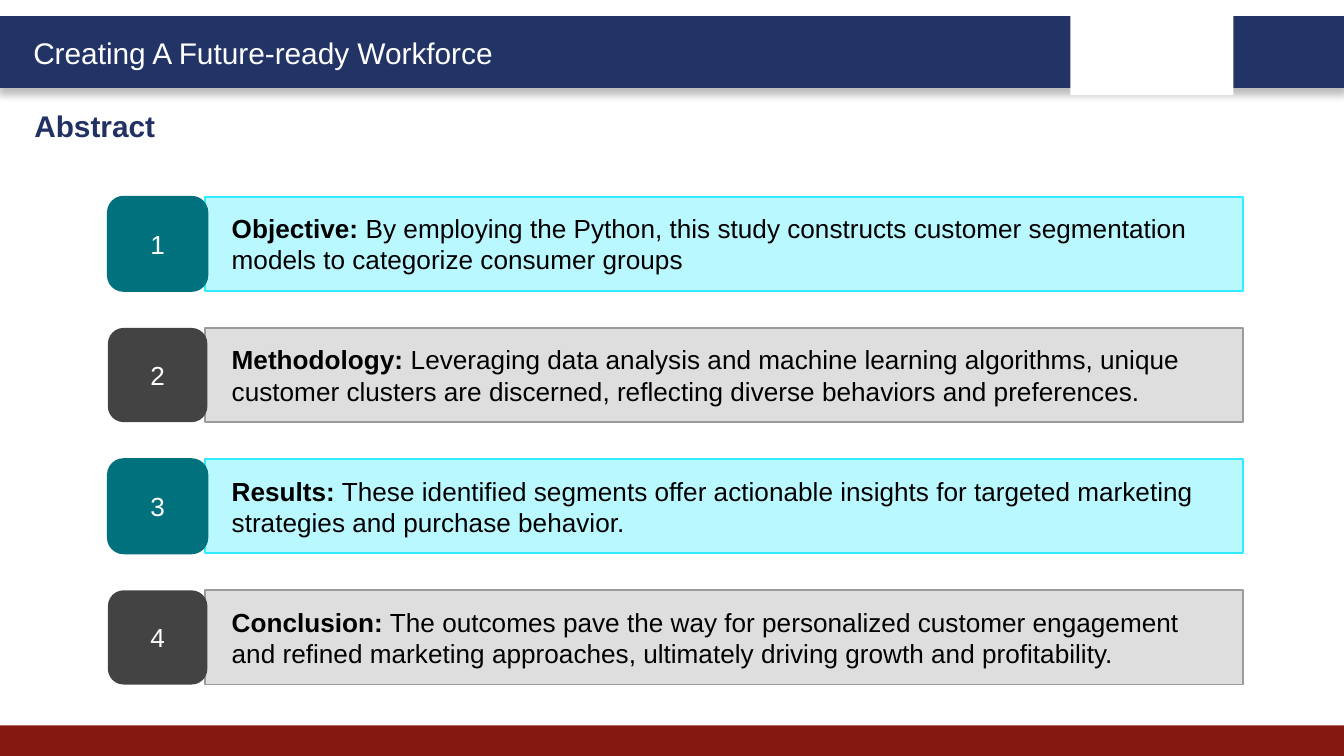
"""Build the abstract slide with four numbered summary rows."""
from dataclasses import dataclass

from lxml.etree import SubElement
from pptx import Presentation
from pptx.dml.color import RGBColor
from pptx.enum.shapes import MSO_SHAPE
from pptx.enum.text import MSO_ANCHOR, PP_ALIGN
from pptx.oxml.ns import qn
from pptx.util import Cm, Pt


@dataclass(frozen=True)
class Theme:
    navy: str = "223366"
    heading: str = "213163"
    maroon: str = "851910"
    white: str = "FFFFFF"
    black: str = "000000"
    teal: str = "00717D"
    aqua: str = "BAF8FF"
    aqua_edge: str = "31EBFF"
    charcoal: str = "434343"
    silver: str = "DEDEDE"
    silver_edge: str = "9B9B9B"
    font: str = "Arial"
    title_size: int = 16
    body_size: int = 14


theme = Theme()
presentation = Presentation()
presentation.slide_width, presentation.slide_height = Cm(25.4), Cm(14.29)
slide = presentation.slides.add_slide(presentation.slide_layouts[6])


def add_block(kind, box, fill, edge=None, edge_width=1):
    block = slide.shapes.add_shape(kind, *map(Cm, box))
    block.shadow.inherit = False
    block.fill.solid()
    block.fill.fore_color.rgb = RGBColor.from_string(fill)
    if edge:
        block.line.color.rgb = RGBColor.from_string(edge)
        block.line.width = Pt(edge_width)
    else:
        block.line.fill.background()
    return block


def write(paragraph, text, size, color, bold=False):
    run = paragraph.add_run()
    run.text = text
    font_format = {"name": theme.font, "size": Pt(size), "bold": bold}
    for attribute, value in font_format.items():
        setattr(run.font, attribute, value)
    run.font.color.rgb = RGBColor.from_string(color)


header = add_block(MSO_SHAPE.RECTANGLE, (0, 0.33, 25.4, 1.3), theme.navy, theme.navy, 2)
effects = header._element.spPr.find(qn("a:effectLst"))
shadow = SubElement(effects, qn("a:outerShdw"), blurRad=str(Pt(4)), dist=str(Pt(3)),
                    dir="5400000", algn="t", rotWithShape="0")
shadow_color = SubElement(shadow, qn("a:srgbClr"), val=theme.black)
SubElement(shadow_color, qn("a:alpha"), val="25000")
add_block(MSO_SHAPE.RECTANGLE, (0, 13.71, 25.4, 0.58), theme.maroon)
add_block(MSO_SHAPE.RECTANGLE, (20.23, 0.18, 3.08, 1.62), theme.white)

headings = [
    ("Creating A Future-ready Workforce", (0.38, 0.54, 9.6, 0.94), theme.white, False),
    ("Abstract", (0.4, 1.91, 12.3, 0.94), theme.heading, True),
]
for text, box, color, bold in headings:
    heading = slide.shapes.add_textbox(*map(Cm, box))
    heading.text_frame.word_wrap = True
    write(heading.text_frame.paragraphs[0], text, theme.title_size, color, bold)

sections = [
    ("Objective:", "By employing the Python, this study constructs customer "
     "segmentation models to categorize consumer groups"),
    ("Methodology:", "Leveraging data analysis and machine learning algorithms, unique "
     "customer clusters are discerned, reflecting diverse behaviors and preferences."),
    ("Results:", "These identified segments offer actionable insights for targeted "
     "marketing strategies and purchase behavior."),
    ("Conclusion:", "The outcomes pave the way for personalized customer engagement and "
     "refined marketing approaches, ultimately driving growth and profitability."),
]
row_colors = [
    (theme.aqua, theme.aqua_edge, theme.teal, theme.teal),
    (theme.silver, theme.silver_edge, theme.charcoal, None),
]
first_top, row_pitch, row_height = 3.72, 2.48, 1.78

for index, (label, summary) in enumerate(sections):
    top = first_top + index * row_pitch
    panel_fill, panel_edge, badge_fill, badge_edge = row_colors[index % 2]

    panel = add_block(MSO_SHAPE.RECTANGLE, (3.88, top, 19.61, row_height),
                      panel_fill, panel_edge)
    badge = add_block(MSO_SHAPE.ROUNDED_RECTANGLE, (2.04, top, 1.88, row_height),
                      badge_fill, badge_edge)
    for block, alignment in ((panel, PP_ALIGN.LEFT), (badge, PP_ALIGN.CENTER)):
        frame_format = {"word_wrap": True, "vertical_anchor": MSO_ANCHOR.MIDDLE}
        for attribute, value in frame_format.items():
            setattr(block.text_frame, attribute, value)
        block.text_frame.paragraphs[0].alignment = alignment

    statement = panel.text_frame.paragraphs[0]
    statement._p.get_or_add_pPr().set("marL", str(Cm(0.25)))
    write(statement, label, theme.body_size, theme.black, True)
    write(statement, f" {summary}", theme.body_size, theme.black)
    write(badge.text_frame.paragraphs[0], str(index + 1), theme.body_size, theme.white)

presentation.save("out.pptx")
